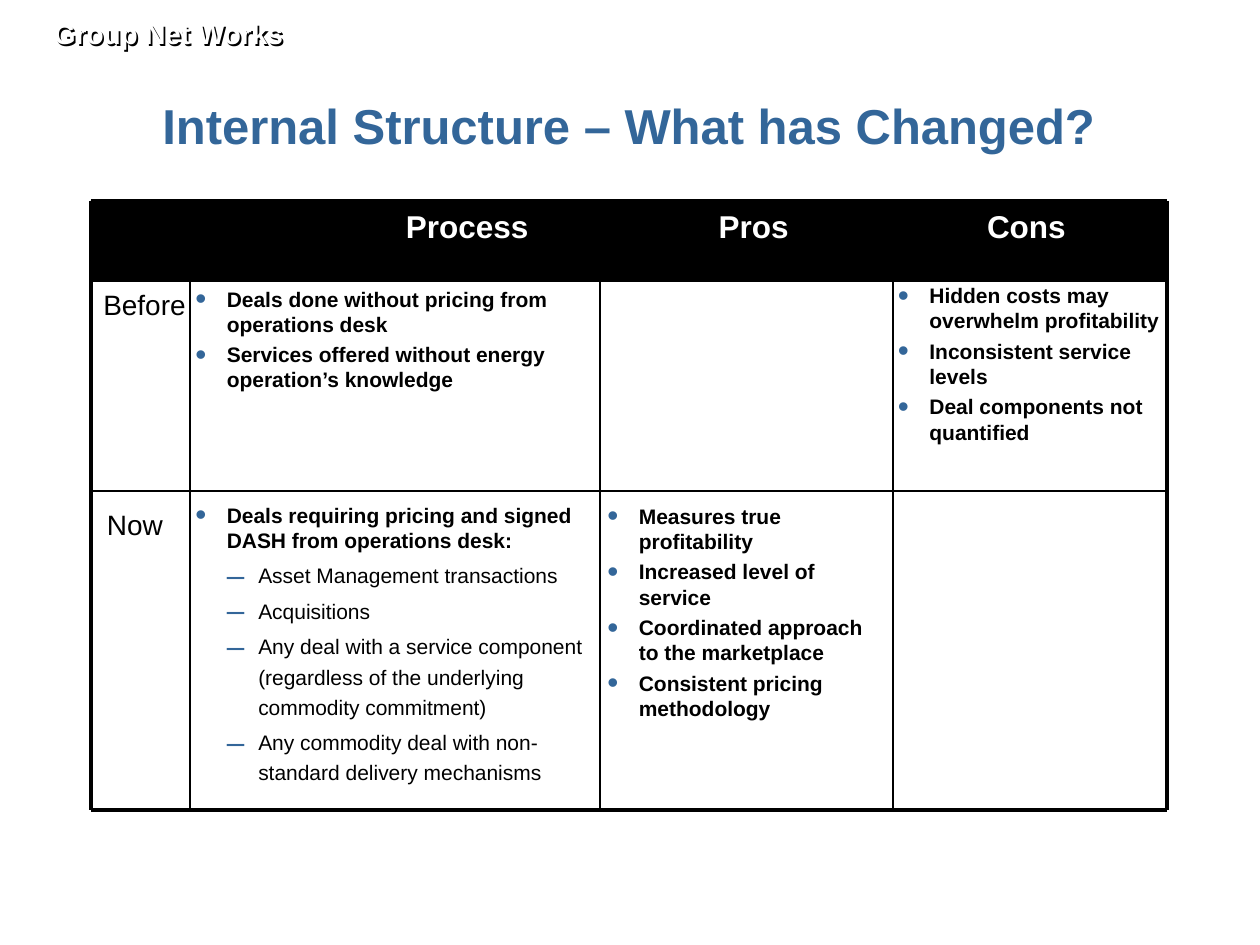
from pptx import Presentation
from pptx.dml.color import RGBColor as RGB
from pptx.enum.shapes import MSO_CONNECTOR as Conn, MSO_SHAPE as Shape
from pptx.enum.text import MSO_ANCHOR as Anchor, PP_ALIGN as Align
from pptx.oxml import parse_xml
from pptx.oxml.ns import nsdecls
from pptx.util import Pt


class Theme:
    font = "Arial"
    blue, black, white = (RGB.from_string(c) for c in ("336699", "000000", "FFFFFF"))
    title, head, label, body = 28, 18, 16, 12
    thick, thin = 2.25, 1


# Content: boxes are (left, top, width, height) in points
BRAND = "Group Net Works", (23.75, 5.75, 242, 26.5)
TITLE = "Internal Structure – What has Changed?", (77, 51, 564.5, 41)
HEADS = [
    ("", (52, 114.5, 67.5, 45.5)),
    ("Process", (119.5, 115, 295, 45.5)),
    ("Pros", (353, 115, 155.5, 45.5)),
    ("Cons", (507, 115, 159, 45.5)),
]
LABELS = [
    ("Before", (52, 161, 67.5, 98.5)),
    ("Now", (54, 286.5, 67.5, 131)),
]
# List items are (level, text)
LISTS = [
    ((104.5, 160, 218, 119.5), [
        (0, "Deals done without pricing from operations desk"),
        (0, "Services offered without energy operation’s knowledge"),
    ]),
    ((506, 158, 165, 121.5), [
        (0, "Hidden costs may overwhelm profitability"),
        (0, "Inconsistent service levels"),
        (0, "Deal components not quantified"),
    ]),
    ((104.5, 283.5, 243.5, 171.5), [
        (0, "Deals requiring pricing and signed DASH from operations desk:"),
        (1, "Asset Management transactions"),
        (1, "Acquisitions"),
        (1, "Any deal with a service component (regardless of the underlying "
            "commodity commitment)"),
        (1, "Any commodity deal with non-standard delivery mechanisms"),
    ]),
    ((340, 284, 168.5, 170), [
        (0, "Measures true profitability"),
        (0, "Increased level of service"),
        (0, "Coordinated approach to the marketplace"),
        (0, "Consistent pricing methodology"),
    ]),
]
COLS = [52, 108.5, 343, 510.5, 667]
ROWS = [115, 160.5, 280.5, 463]

deck = Presentation()
deck.slide_width, deck.slide_height = Pt(720), Pt(540)
slide = deck.slides.add_slide(deck.slide_layouts[6])
shapes = slide.shapes


def bullet(para, level):
    """Hang a blue mark in front of the paragraph."""
    props = para._p.get_or_add_pPr()
    props.set("marL", str(Pt(18 * (level + 1))))
    props.set("indent", str(Pt(-18)))
    ns = nsdecls("a")
    for xml in (
        f'<a:buClr {ns}><a:srgbClr val="{Theme.blue}"/></a:buClr>',
        f'<a:buSzPct {ns} val="150000"/>',
        f'<a:buFont {ns} typeface="{Theme.font}"/>',
        f'<a:buChar {ns} char="{"•–"[level]}"/>',
    ):
        props.append(parse_xml(xml))


def write(box, items, size, color=Theme.black, bold=False,
          align=Align.LEFT, anchor=Anchor.TOP, marks=False):
    """Fill a shape with (level, text) items, or with one plain text."""
    frame = box.text_frame
    frame.word_wrap, frame.vertical_anchor = True, anchor
    if isinstance(items, str):
        items = [(0, items)]
    for i, (level, text) in enumerate(items):
        para = frame.add_paragraph() if i else frame.paragraphs[0]
        para.alignment, para.level = align, level
        if level:
            para.line_spacing = 1.2
        if i:
            para.space_before = Pt(3)
        if marks:
            bullet(para, level)
        run = para.add_run()
        run.text = text
        font = run.font
        font.name, font.size = Theme.font, Pt(size)
        font.bold = bold and level == 0
        font.color.rgb = color


def label(at):
    return shapes.add_textbox(*map(Pt, at))


def rule(x1, y1, x2, y2, width):
    line = shapes.add_connector(Conn.STRAIGHT, *map(Pt, (x1, y1, x2, y2)))
    line.line.color.rgb, line.line.width = Theme.black, Pt(width)
    line._element.spPr.append(parse_xml(f'<a:effectLst {nsdecls("a")}/>'))


# Brand line: white letters with a hard black shadow
text, at = BRAND
box = label(at)
write(box, text, Theme.label, Theme.white, bold=True, anchor=Anchor.MIDDLE)
box._element.spPr.append(parse_xml(
    f'<a:effectLst {nsdecls("a")}><a:outerShdw dist="17961" dir="2700000">'
    f'<a:srgbClr val="{Theme.black}"/></a:outerShdw></a:effectLst>'))

# Title
text, at = TITLE
write(label(at), text, Theme.title, Theme.blue, bold=True,
      align=Align.CENTER, anchor=Anchor.MIDDLE)

# Black header band
for text, at in HEADS:
    box = shapes.add_shape(Shape.RECTANGLE, *map(Pt, at))
    box.shadow.inherit = False
    box.fill.solid()
    box.fill.fore_color.rgb = Theme.black
    box.line.fill.background()
    if text:
        write(box, text, Theme.head, Theme.white, bold=True, align=Align.CENTER)

# Grid: thick on the outside, thin within
for y in ROWS:
    rule(COLS[0], y, COLS[-1], y,
         Theme.thick if y in (ROWS[0], ROWS[-1]) else Theme.thin)
for x in COLS:
    rule(x, ROWS[0], x, ROWS[-1],
         Theme.thick if x in (COLS[0], COLS[-1]) else Theme.thin)

# Row labels and cell lists
for text, at in LABELS:
    write(label(at), text, Theme.label)
for at, items in LISTS:
    write(label(at), items, Theme.body, bold=True, marks=True)

deck.save("out.pptx")
